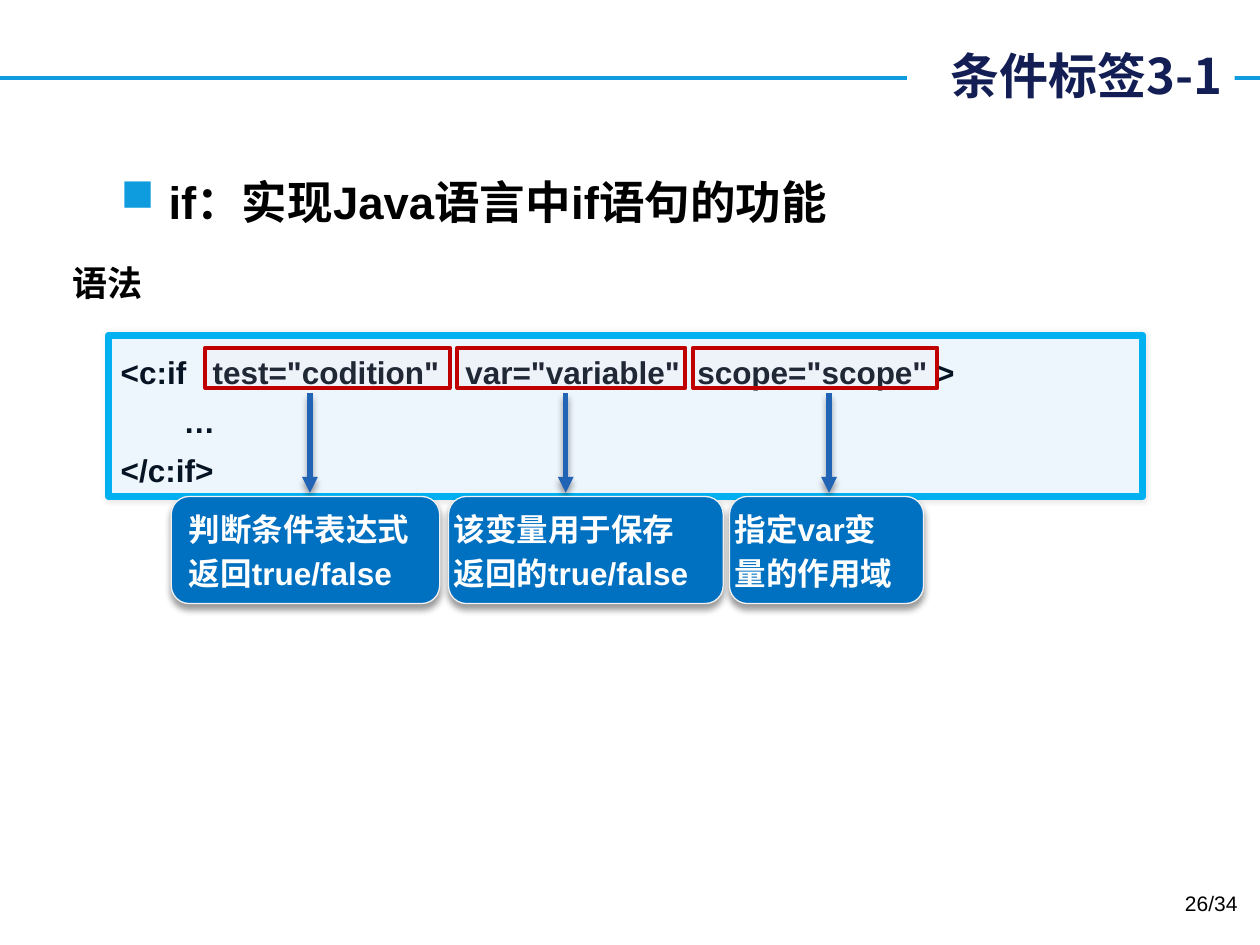
from dataclasses import dataclass

from lxml.etree import SubElement
from pptx import Presentation
from pptx.dml.color import RGBColor as RGB
from pptx.enum.shapes import MSO_CONNECTOR as Link, MSO_SHAPE as Shape
from pptx.enum.text import MSO_ANCHOR as Anchor, PP_ALIGN as Align
from pptx.oxml.ns import qn
from pptx.util import Inches, Pt


@dataclass(frozen=True)
class Theme:
    latin: str = "Arial"
    chinese: str = "Noto Sans CJK SC"
    black: str = "000000"
    white: str = "FFFFFF"
    navy: str = "121E54"
    accent: str = "0E9CDE"
    code_fill: str = "EDF5FD"
    code_edge: str = "00B0F0"
    code_ink: str = "071424"
    mark_fill: str = "FFDDDD"
    mark_edge: str = "C00000"
    arrow: str = "2163B4"
    note_fill: str = "0070C0"
    note_edge: str = "F2F2F2"
    title_size: int = 28
    lead_size: int = 26
    heading_size: int = 20
    text_size: int = 18
    number_size: int = 12


def add_shadow(parent, color="000000", alpha=40, blur=4, distance=3):
    effects = SubElement(parent, qn("a:effectLst"))
    outer = SubElement(effects, qn("a:outerShdw"), blurRad=str(Pt(blur)),
                       dist=str(Pt(distance)), dir="5400000", algn="ctr", rotWithShape="0")
    tint = SubElement(outer, qn("a:srgbClr"), val=color)
    SubElement(tint, qn("a:alpha"), val=str(alpha * 1000))


def write(holder, text, size, color, latin, chinese, bold=True, align=Align.LEFT, anchor=Anchor.TOP,
          left_inset=0.1, before=0, spacing=1.0, wrap=True, shadow=False):
    frame = holder.text_frame
    frame.word_wrap = wrap
    frame.vertical_anchor = anchor
    frame.margin_left = Inches(left_inset)
    for index, line in enumerate(text.split("\n")):
        paragraph = frame.paragraphs[0] if index == 0 else frame.add_paragraph()
        paragraph.alignment = align
        paragraph.space_before = Pt(before)
        paragraph.line_spacing = spacing
        run = paragraph.add_run()
        run.text = line
        run.font.size = Pt(size)
        run.font.bold = bold
        run.font.color.rgb = RGB.from_string(color)
        properties = run.font._element
        if shadow:
            add_shadow(properties)
        run.font.name = latin
        SubElement(properties, qn("a:ea"), typeface=chinese)
    return frame


class SlideBuilder:
    """Draws styled elements on the current slide."""

    def __init__(self, slide, theme):
        self.slide = slide
        self.theme = theme

    def text(self, box, text, size, color, latin=None, **style):
        area = self.slide.shapes.add_textbox(*map(Inches, box))
        return write(area, text, size, color, latin or self.theme.latin,
                     self.theme.chinese, **style)

    def bullet(self, box, text, indent):
        frame = self.text(box, text, self.theme.lead_size, self.theme.black, before=5)
        layout = frame.paragraphs[0]._p.get_or_add_pPr()
        layout.set("marL", str(Inches(indent)))
        layout.set("indent", str(-Inches(indent)))
        color = SubElement(layout, qn("a:buClr"))
        SubElement(color, qn("a:srgbClr"), val=self.theme.accent)
        SubElement(layout, qn("a:buChar"), char="■")

    def panel(self, box, fill, edge=None, width=0, kind=Shape.RECTANGLE, radius=None, alpha=None):
        panel = self.slide.shapes.add_shape(kind, *map(Inches, box))
        panel.shadow.inherit = False
        panel.fill.solid()
        panel.fill.fore_color.rgb = RGB.from_string(fill)
        if alpha is not None:
            tint = panel._element.spPr.find(qn("a:solidFill"))[0]
            SubElement(tint, qn("a:alpha"), val=str(alpha * 1000))
        if edge:
            panel.line.color.rgb = RGB.from_string(edge)
            panel.line.width = Pt(width)
        else:
            panel.line.fill.background()
        if radius is not None:
            panel.adjustments[0] = radius
        return panel

    def shaded_panel(self, box, fill, edge, width, radius, **shadow):
        panel = self.panel(box, fill, edge, width, Shape.ROUNDED_RECTANGLE, radius)
        properties = panel._element.spPr
        properties.remove(properties.find(qn("a:effectLst")))
        add_shadow(properties, **shadow)
        return panel

    def line(self, start, end, color, width, arrow=False):
        line = self.slide.shapes.add_connector(Link.STRAIGHT, *map(Inches, start + end))
        line.line.color.rgb = RGB.from_string(color)
        line.line.width = Pt(width)
        properties = line._element.spPr
        if arrow:
            SubElement(properties.find(qn("a:ln")), qn("a:tailEnd"), type="triangle")
            add_shadow(properties)
        else:
            SubElement(properties, qn("a:effectLst"))

    def code(self, box, text):
        theme = self.theme
        panel = self.shaded_panel(box, theme.code_fill, theme.code_edge, 4, 0,
                                  alpha=10, blur=3, distance=0)
        write(panel, text, theme.text_size, theme.code_ink, theme.latin, theme.chinese, spacing=1.3)

    def note(self, box, text, left_inset):
        theme = self.theme
        panel = self.shaded_panel(box, theme.note_fill, theme.note_edge, 0.75, 0.167)
        write(panel, text, theme.text_size, theme.white, theme.latin, theme.chinese,
              anchor=Anchor.BOTTOM, left_inset=left_inset, before=3.6)

    def title(self, box, text):
        theme = self.theme
        write(self.panel(box, theme.white), text, theme.title_size, theme.navy,
              theme.chinese, theme.chinese, align=Align.RIGHT, anchor=Anchor.MIDDLE)


def main():
    deck = Presentation()
    deck.slide_width, deck.slide_height = Inches(10), Inches(7.5)
    theme = Theme()
    page = SlideBuilder(deck.slides.add_slide(deck.slide_layouts[6]), theme)

    page.line((0, 0.62), (10, 0.62), theme.accent, 2.25)
    page.bullet((0.86, 1.33, 8.36, 0.6), "if：实现Java语言中if语句的功能", 0.38)
    page.code((0.86, 2.66, 8.21, 1.28),
              '<c:if   test="codition"   var="variable"  scope="scope" >\n\t…\n</c:if>')

    attributes = [
        (1.63, 1.94, 2.46, 1.36, 2.13, 0.1, "判断条件表达式\n返回true/false"),
        (3.63, 1.81, 4.49, 3.56, 2.18, 0, "该变量用于保存\n返回的true/false"),
        (5.5, 1.94, 6.58, 5.79, 1.54, 0, "指定var变\n量的作用域"),
    ]
    for mark_x, mark_width, arrow_x, note_x, note_width, inset, meaning in attributes:
        page.panel((mark_x, 2.76, mark_width, 0.32), theme.mark_fill, theme.mark_edge,
                   2.25, alpha=10)
        page.line((arrow_x, 3.12), (arrow_x, 3.91), theme.arrow, 3, arrow=True)
        page.note((note_x, 3.94, note_width, 0.85), meaning, inset)

    page.text((0.48, 2.02, 0.77, 0.44), "语法", theme.heading_size, theme.black, theme.chinese,
              anchor=Anchor.MIDDLE, wrap=False, shadow=True)
    page.title((7.2, 0.31, 2.6, 0.57), "条件标签3-1")
    page.text((7.59, 7.02, 2.33, 0.4), "26/34", theme.number_size, theme.black,
              bold=False, align=Align.RIGHT)
    deck.save("out.pptx")


if __name__ == "__main__":
    main()
